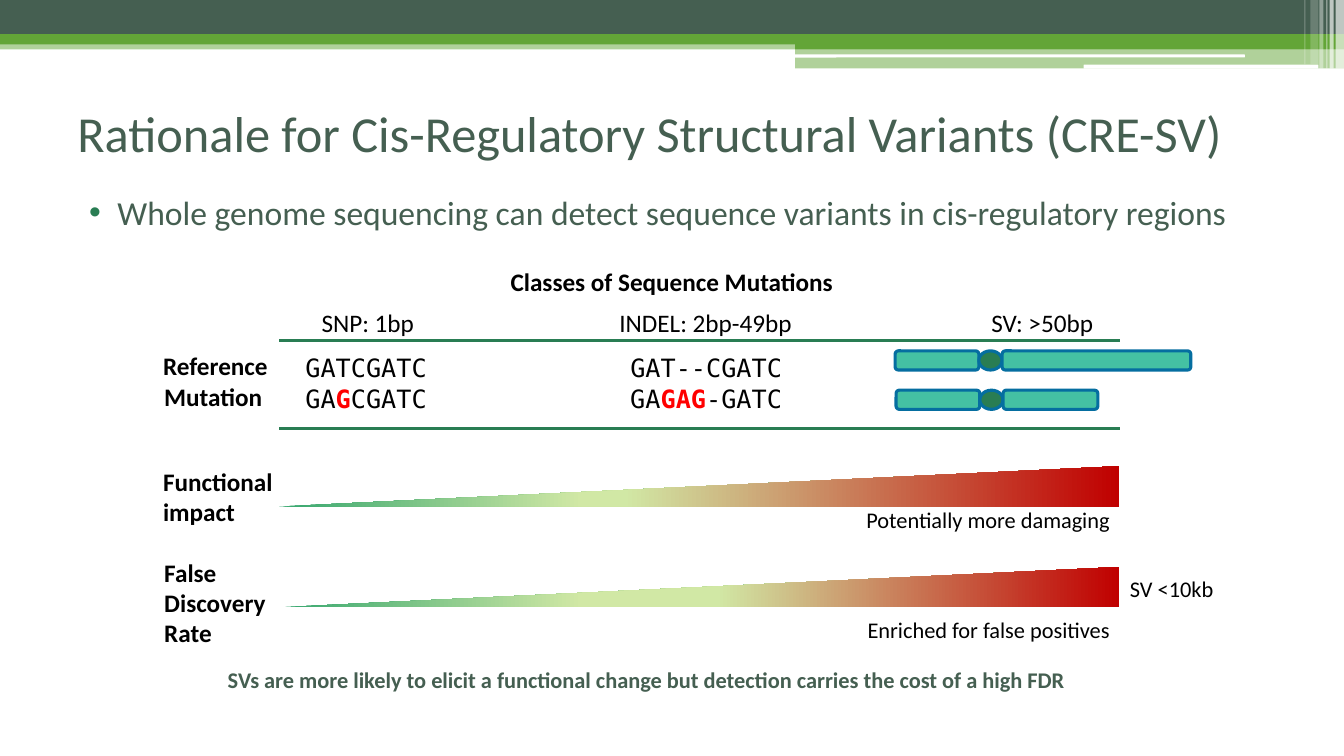
import pptx
import pptx.util
import pptx.dml.color
import pptx.enum.shapes
import pptx.enum.text
import pptx.oxml
import pptx.oxml.ns
import lxml.etree

Pt = pptx.util.Pt
RGBColor = pptx.dml.color.RGBColor
SHAPE = pptx.enum.shapes.MSO_SHAPE
ALIGN = pptx.enum.text.PP_ALIGN
qn = pptx.oxml.ns.qn
COLORS = {
    "slate": "455F51", "leaf": "63A537", "white": "FFFFFF", "black": "000000",
    "forest": "297D53", "teal": "44C1A3", "blue": "056EA0", "red": "FF0000",
    "low": "37A76F", "middle": "D1E8A5", "high": "C00000",
}


def add_block(kind, left, top, width, height, color, alpha=100, outline=None):
    shape = page.shapes.add_shape(kind, Pt(left), Pt(top), Pt(width), Pt(height))
    shape.shadow.inherit = False
    shape.fill.solid()
    shape.fill.fore_color.rgb = RGBColor.from_string(COLORS[color])
    if alpha < 100:
        swatch = shape.fill._xPr.find(".//" + qn("a:srgbClr"))
        lxml.etree.SubElement(swatch, qn("a:alpha"), val=str(alpha * 1000))
    if outline:
        shape.line.color.rgb = RGBColor.from_string(COLORS[outline])
        shape.line.width = Pt(2.25)
    else:
        shape.line.fill.background()


def add_text(box, lines, size, align=ALIGN.LEFT, bold=False, color="black", font="Calibri"):
    frame = box.text_frame
    frame.word_wrap = True
    frame.auto_size = pptx.enum.text.MSO_AUTO_SIZE.NONE
    for row, pieces in enumerate(lines):
        para = frame.add_paragraph() if row else frame.paragraphs[0]
        para.alignment = align
        for position, piece in enumerate(pieces):
            mutated = position % 2 == 1
            span = para.add_run()
            span.text = piece
            span.font.name = font
            span.font.size = Pt(size)
            span.font.bold = bold or mutated
            span.font.color.rgb = RGBColor.from_string(COLORS["red" if mutated else color])
    return frame.paragraphs[0]


deck = pptx.Presentation()
deck.slide_width = Pt(960)
deck.slide_height = Pt(540)
page = deck.slides.add_slide(deck.slide_layouts[5])

for left, top, width, height, color, alpha in [
    (0, 28.8, 960, 6.5, "leaf", 50),
    (0, 0, 960, 24.5, "slate", 100),
    (0, 24.5, 960, 7.2, "leaf", 100),
    (568, 28.1, 392, 7, "leaf", 100),
    (568, 34.6, 392, 14.2, "leaf", 50),
]:
    add_block(SHAPE.RECTANGLE, left, top, width, height, color, alpha)
for left, top, width, height in [(567.4, 38.9, 321.8, 2.2), (774, 46.2, 167.8, 2.9)]:
    add_block(SHAPE.ROUNDED_RECTANGLE, left, top, width, height, "white")
for left, width, height, alpha in [
    (954, 6, 49, 65), (949.7, 2.9, 49, 65), (947.5, 0.7, 49, 60),
    (942.5, 2.9, 49, 40), (936, 5.8, 46, 20), (931.7, 0.7, 46, 30),
]:
    add_block(SHAPE.RECTANGLE, left, 0, width, height, "white", alpha)

title = page.shapes.title
title.left, title.top, title.width, title.height = Pt(48), Pt(52.6), Pt(864), Pt(84.2)
title.text_frame.vertical_anchor = pptx.enum.text.MSO_ANCHOR.MIDDLE
add_text(title, [["Rationale for Cis-Regulatory Structural Variants (CRE-SV)"]], 36, color="slate")

statement = page.shapes.add_textbox(Pt(48), Pt(133.2), Pt(864), Pt(51))
para = add_text(statement, [["Whole genome sequencing can detect sequence variants in cis-regulatory regions"]],
                24, color="slate")
para.space_before = Pt(3)
properties = para._p.get_or_add_pPr()
properties.set("marL", str(Pt(28.8)))
properties.set("indent", str(Pt(-20.2)))
bullet_color = lxml.etree.SubElement(properties, qn("a:buClr"))
lxml.etree.SubElement(bullet_color, qn("a:srgbClr"), val=COLORS["forest"])
lxml.etree.SubElement(properties, qn("a:buFont"), typeface="Arial")
lxml.etree.SubElement(properties, qn("a:buChar"), char="•")

for left, top, width, height, text, size, align, bold in [
    (150.5, 186.5, 658.8, 28.8, "Classes of Sequence Mutations", 18, ALIGN.CENTER, True),
    (199.4, 216, 126.7, 28.8, "SNP: 1bp", 18, ALIGN.CENTER, False),
    (428.4, 216.3, 151.2, 28.8, "INDEL: 2bp-49bp", 18, ALIGN.CENTER, False),
    (681.1, 216, 126.7, 28.8, "SV: >50bp", 18, ALIGN.CENTER, False),
    (109.4, 247, 143.3, 28.8, "Reference", 18, ALIGN.LEFT, True),
    (110.2, 268.9, 143.3, 28.8, "Mutation", 18, ALIGN.LEFT, True),
    (109.4, 329.4, 118.8, 51, "Functional impact", 18, ALIGN.LEFT, True),
    (110.2, 394.2, 118.8, 72.7, "False Discovery Rate", 18, ALIGN.LEFT, True),
    (605.5, 358, 194.4, 26.6, "Potentially more damaging", 16, ALIGN.RIGHT, False),
    (605.5, 436.3, 194.4, 46, "Enriched for false positives", 16, ALIGN.RIGHT, False),
    (800, 407, 105, 26.6, "SV <10kb", 16, ALIGN.LEFT, False),
]:
    label = page.shapes.add_textbox(Pt(left), Pt(top), Pt(width), Pt(height))
    add_text(label, [[text]], size, align, bold)

for left, width, align, sequences in [
    (211, 104.4, ALIGN.LEFT, [["GATCGATC"], ["GA", "G", "CGATC"]]),
    (431.3, 146.2, ALIGN.CENTER, [["GAT--CGATC"], ["GA", "GAG", "-GATC"]]),
]:
    alignment = page.shapes.add_textbox(Pt(left), Pt(248.4), Pt(width), Pt(51))
    add_text(alignment, sequences, 18, align, font="DejaVu Sans Mono")

for left, top, long_arm in [(639.4, 250.6, 134.8), (640.1, 278.7, 67.7)]:
    for kind, width, color in [
        (SHAPE.ROUNDED_RECTANGLE, 59.8, "teal"),
        (SHAPE.OVAL, 16.6, "forest"),
        (SHAPE.ROUNDED_RECTANGLE, long_arm, "teal"),
    ]:
        add_block(kind, left, top, width, 13.7, color, outline="blue")
        left += width

for height in (243.3, 306):
    rule = page.shapes.add_connector(pptx.enum.shapes.MSO_CONNECTOR.STRAIGHT,
                                     Pt(800), Pt(height), Pt(199.5), Pt(height))
    rule.line.color.rgb = RGBColor.from_string(COLORS["forest"])
    rule.line.width = Pt(2.25)
    lxml.etree.SubElement(rule._element.spPr, qn("a:effectLst"))

for base, plateau_end in [(361.8, 41), (433.8, 52)]:
    builder = page.shapes.build_freeform(Pt(199.5), Pt(base))
    builder.add_line_segments([(Pt(799.5), Pt(base - 28.8)), (Pt(799.5), Pt(base))])
    wedge = builder.convert_to_shape()
    wedge.shadow.inherit = False
    wedge.line.fill.background()
    wedge.fill.gradient()
    wedge.fill.gradient_angle = 0
    stops = wedge._element.spPr.find(".//" + qn("a:gsLst"))
    for stop in list(stops):
        stops.remove(stop)
    for position, color in [(0, "low"), (36, "middle"), (plateau_end, "middle"), (100, "high")]:
        stop = lxml.etree.SubElement(stops, qn("a:gs"), pos=str(position * 1000))
        lxml.etree.SubElement(stop, qn("a:srgbClr"), val=COLORS[color])

conclusion = page.shapes.add_textbox(Pt(115.2), Pt(472.3), Pt(684.7), Pt(37.4))
para = add_text(conclusion, [["SVs are more likely to elicit a functional change but detection carries the cost of a high FDR"]],
                16, ALIGN.CENTER, True, "slate")
para.space_before = Pt(3)
para._p.get_or_add_pPr().set("marL", str(Pt(8.6)))

deck.save("out.pptx")
